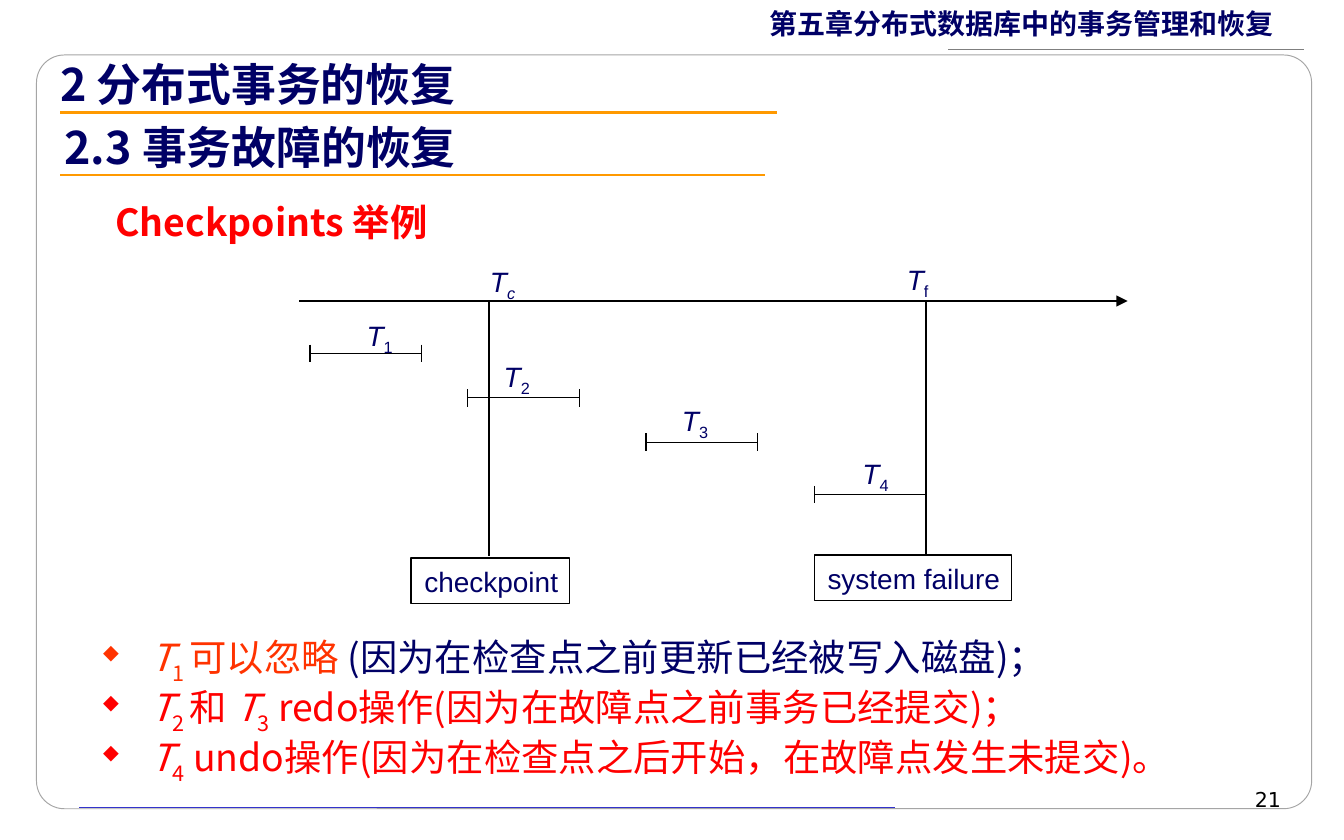
from collections import namedtuple

from lxml.etree import SubElement
from pptx import Presentation
from pptx.dml.color import RGBColor
from pptx.enum.shapes import MSO_CONNECTOR as Connector, MSO_SHAPE as Preset
from pptx.enum.text import MSO_ANCHOR as Anchor, PP_ALIGN as Align
from pptx.oxml.ns import qn
from pptx.util import Cm, Pt

NAVY = RGBColor(0x00, 0x00, 0x66)
RED = RGBColor(0xFF, 0x00, 0x00)
VERMILION = RGBColor(0xFF, 0x33, 0x00)
ORANGE = RGBColor(0xFF, 0x99, 0x00)
BLUE = RGBColor(0x33, 0x33, 0xCC)
BLACK = RGBColor(0x00, 0x00, 0x00)
WHITE = RGBColor(0xFF, 0xFF, 0xFF)
GRAY = RGBColor(0x7F, 0x7F, 0x7F)
SILVER = RGBColor(0xA5, 0xA5, 0xA5)
CJK = "Noto Sans CJK SC"

Box = namedtuple("Box", "left top width height")
Transaction = namedtuple("Transaction", "number start level label_left label_top closed")

TRANSACTIONS = [
    Transaction("1", 0.2, 1.85, 1.02, 1.07, True),
    Transaction("2", 3.18, 2.69, 3.61, 1.85, True),
    Transaction("3", 6.55, 3.53, 6.98, 2.67, True),
    Transaction("4", 9.73, 4.52, 10.39, 3.68, False),
]
T = ("T", {"italic": True})
SUB = {"baseline": -25}
CONCLUSIONS = [
    (VERMILION, [T, ("1 ", SUB), ("可以忽略 ", {}),
                 ("(因为在检查点之前更新已经被写入磁盘)；", {"color": NAVY})]),
    (RED, [T, ("2 ", SUB), ("和 ", {}), T, ("3", SUB),
           (" redo操作(因为在故障点之前事务已经提交)；", {})]),
    (RED, [T, ("4", SUB),
           (" undo操作(因为在检查点之后开始，在故障点发生未提交)。", {})]),
]


def add_run(paragraph, text, size=15, font="Arial", color=NAVY, bold=False,
            italic=False, baseline=0):
    """Append a formatted run, with the baseline shift in percent."""
    run = paragraph.add_run()
    run.text = text
    run.font.size = Pt(size)
    run.font.name = font
    run.font.color.rgb = color
    run.font.bold = bold
    run.font.italic = italic
    properties = run._r.get_or_add_rPr()
    SubElement(properties, qn("a:ea")).set("typeface", CJK)
    if baseline:
        properties.set("baseline", str(baseline * 1000))


def add_text(slide, box, runs, align=Align.LEFT, anchor=Anchor.TOP, wrap=True,
             spacing=None, outlined=False, **style):
    """Place one paragraph of (text, format) runs, optionally in a frame."""
    place = [Cm(length) for length in box]
    if outlined:
        shape = slide.shapes.add_shape(Preset.RECTANGLE, *place)
        shape.shadow.inherit = False
        shape.fill.background()
        shape.line.color.rgb = BLACK
        shape.line.width = Pt(0.75)
    else:
        shape = slide.shapes.add_textbox(*place)
    frame = shape.text_frame
    frame.word_wrap = wrap
    frame.vertical_anchor = anchor
    paragraph = frame.paragraphs[0]
    paragraph.alignment = align
    paragraph.line_spacing = spacing
    for text, extra in runs:
        add_run(paragraph, text, **{**style, **extra})


def add_line(slide, x1, y1, x2, y2, color=BLACK, width=0.75, arrow=False):
    """Draw a straight line, with an arrowhead at its end on request."""
    line = slide.shapes.add_connector(
        Connector.STRAIGHT, Cm(x1), Cm(y1), Cm(x2), Cm(y2))
    line.line.color.rgb = color
    line.line.width = Pt(width)
    if arrow:
        SubElement(line.line._get_or_add_ln(), qn("a:tailEnd")).set("type", "triangle")
    SubElement(line._element.spPr, qn("a:effectLst"))


def add_page_frame(slide, box):
    """Draw the rounded frame, the running header and the page number."""
    left, top, width, height = box
    frame = slide.shapes.add_shape(
        Preset.ROUNDED_RECTANGLE, *[Cm(length) for length in box])
    frame.adjustments[0] = 0.037
    frame.shadow.inherit = False
    frame.fill.solid()
    frame.fill.fore_color.rgb = WHITE
    frame.line.color.rgb = SILVER
    frame.line.width = Pt(0.5)
    add_line(slide, left + 0.81, top + height - 0.02, left + 16.23,
             top + height - 0.02, BLUE, 0.25)
    header = [("第五章", {"font": CJK}),
              ("分布式数据库中的事务管理和恢复", {"font": "Times New Roman"})]
    add_text(slide, Box(left + 13.61, top - 0.96, 11.1, 0.81), header,
             spacing=0.9, bold=True)
    add_line(slide, left + 23.95, top - 0.1, left + 17.22, top - 0.1, GRAY)
    add_text(slide, Box(left + 17.42, top + 13.72, 6.35, 0.71), [("21", {})],
             align=Align.RIGHT, size=11, font="DejaVu Sans", color=BLACK)


def add_heading(slide, box, text, rule_left, rule_right):
    """Place a section heading and the orange rule below it."""
    add_text(slide, box, [(text, {})], size=24, font=CJK, bold=True)
    rule_top = box.top + 1.18
    add_line(slide, rule_left, rule_top, rule_right, rule_top, ORANGE, 1.5)


def add_transaction(slide, box, transaction, length=2.11, tick=0.165):
    """Draw one transaction as a bar with end ticks and a label."""
    start, level = box.left + transaction.start, box.top + transaction.level
    add_line(slide, start, level, start + length, level)
    for x in [start, start + length][:2 if transaction.closed else 1]:
        add_line(slide, x, level - tick, x, level + tick)
    add_label(slide, box, transaction.label_left, transaction.label_top,
              (transaction.number, SUB))


def add_label(slide, box, left, top, subscript):
    """Place a T label with its subscript on one line."""
    add_text(slide, Box(box.left + left, box.top + top, 1.3, 0.97), [T, subscript])


def add_timeline(slide, box):
    """Draw the time axis, its two events and the four transactions."""
    left, top, width, height = box
    axis = top + 0.86
    add_line(slide, left, axis, left + width, axis, arrow=True)
    for x in (3.58, 11.84):
        add_line(slide, left + x, axis, left + x, top + 5.69)
    add_label(slide, box, 3.35, 0.05, ("c", {**SUB, "italic": True}))
    add_label(slide, box, 11.23, 0, ("f", SUB))
    for transaction in TRANSACTIONS:
        add_transaction(slide, box, transaction)
    for text, x, y, event_width in [("checkpoint", 2.11, 5.72, 3),
                                    ("system failure", 9.73, 5.66, 3.73)]:
        add_text(slide, Box(left + x, top + y, event_width, 0.86), [(text, {})],
                 wrap=False, outlined=True)


def add_conclusions(slide, box):
    """Place the bulleted conclusions."""
    shape = slide.shapes.add_textbox(*[Cm(length) for length in box])
    frame = shape.text_frame
    frame.word_wrap = True
    for index, (color, runs) in enumerate(CONCLUSIONS):
        paragraph = frame.add_paragraph() if index else frame.paragraphs[0]
        properties = paragraph._p.get_or_add_pPr()
        properties.set("marL", str(Cm(0.89)))
        properties.set("indent", str(Cm(-0.89)))
        bullet_color = SubElement(properties, qn("a:buClr"))
        SubElement(bullet_color, qn("a:srgbClr")).set("val", str(color))
        SubElement(properties, qn("a:buSzPct")).set("val", "55000")
        SubElement(properties, qn("a:buChar")).set("char", "◆")
        paragraph.line_spacing = 0.8
        if index:
            paragraph.space_before = Pt(5)
        for text, extra in runs:
            add_run(paragraph, text, **{"size": 20, "font": CJK, "color": color, **extra})


def main():
    """Build the slide and save it."""
    presentation = Presentation()
    presentation.slide_width = Cm(25.4)
    presentation.slide_height = Cm(15.88)
    slide = presentation.slides.add_slide(presentation.slide_layouts[6])
    add_page_frame(slide, Box(0.69, 1.04, 24.1, 14.25))
    add_text(slide, Box(1.93, 3.61, 19.51, 1.17), [("Checkpoints 举例", {})],
             anchor=Anchor.MIDDLE, size=20, font=CJK, color=RED, bold=True)
    add_conclusions(slide, Box(1.7, 11.96, 22.38, 3))
    add_timeline(slide, Box(5.66, 4.83, 15.65, 6.58))
    add_heading(slide, Box(0.97, 2.13, 14.83, 1.27), "2.3 事务故障的恢复", 1.14, 14.45)
    add_heading(slide, Box(0.89, 0.94, 14.83, 1.27), "2 分布式事务的恢复", 1.14, 14.68)
    presentation.save("out.pptx")


if __name__ == "__main__":
    main()
